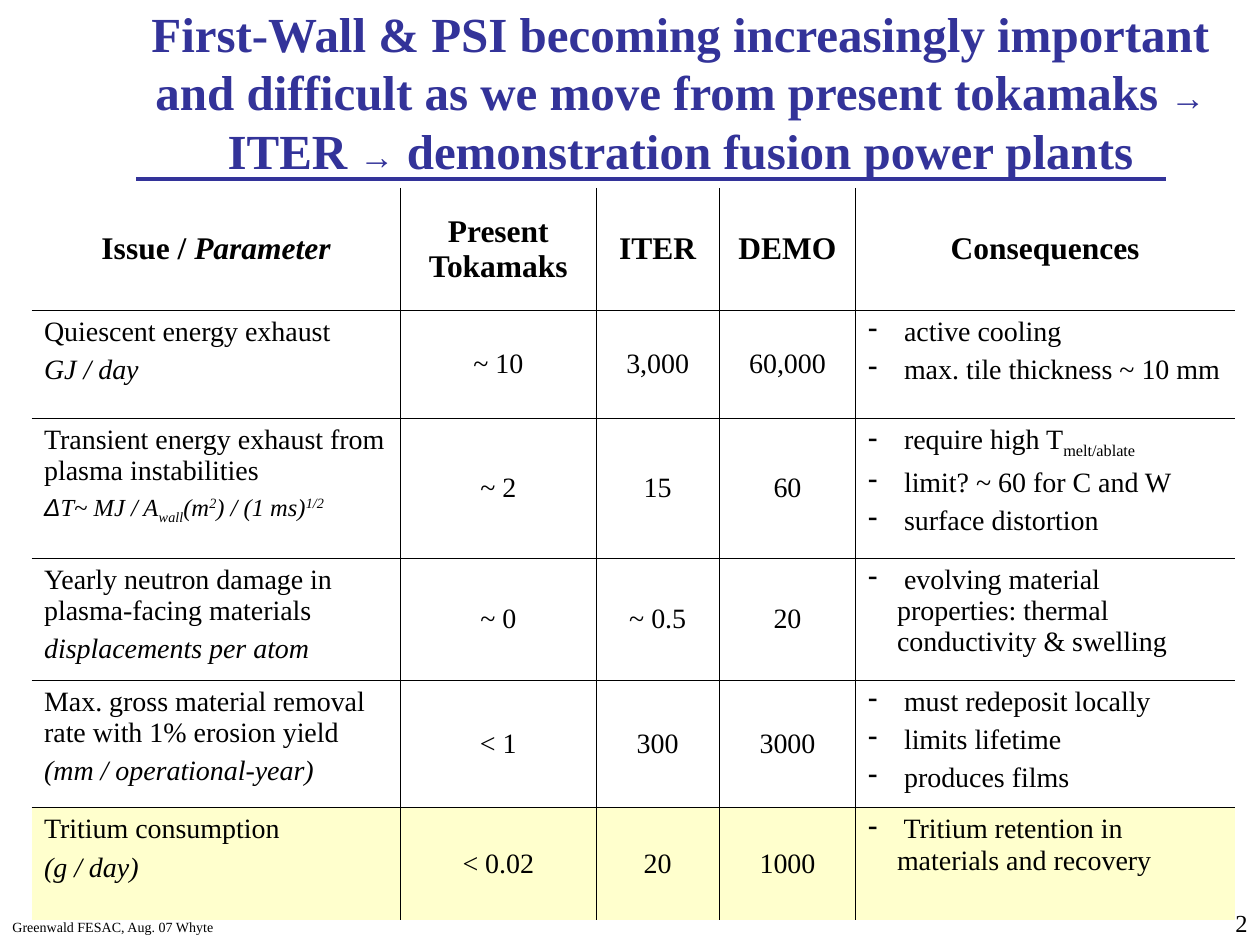
from dataclasses import dataclass
from typing import NamedTuple

from lxml.etree import SubElement
from pptx import Presentation
from pptx.dml.color import RGBColor
from pptx.enum.shapes import MSO_CONNECTOR as Connector
from pptx.enum.text import MSO_ANCHOR as Anchor, PP_ALIGN as Align
from pptx.oxml.ns import qn
from pptx.util import Inches, Pt


@dataclass(frozen=True)
class Theme:
    accent: RGBColor = RGBColor(0x33, 0x33, 0x99)
    ink: RGBColor = RGBColor(0, 0, 0)
    highlight: RGBColor = RGBColor(0xFF, 0xFF, 0xCD)
    serif: str = "Times New Roman"
    sans: str = "Arial"
    title: int = 28
    arrow: int = 20
    header: int = 18
    body: int = 16
    formula: int = 14
    page: int = 14
    footer: int = 8
    rule: float = 2.25
    border: float = 0.45


THEME = Theme()


class Text(NamedTuple):
    text: str
    size: float = THEME.body
    bold: bool = False
    italic: bool = False
    font: str = THEME.serif
    color: RGBColor = THEME.ink
    baseline: int = 0  # percent: positive raises, negative lowers


class Issue(NamedTuple):
    label: list[list[Text]]
    values: tuple[str, str, str]
    consequences: list[list[Text]]
    highlighted: bool = False


def heading(text: str) -> Text:
    return Text(text, THEME.title, bold=True, color=THEME.accent)


def arrow(text: str) -> Text:
    return Text(text, THEME.arrow, bold=True, font=THEME.sans, color=THEME.accent)


def header(text: str, italic: bool = False) -> Text:
    return Text(text, THEME.header, bold=True, italic=italic)


def formula(text: str, baseline: int = 0, font: str = THEME.serif) -> Text:
    return Text(text, THEME.formula, italic=True, font=font, baseline=baseline)


def label(name: str, unit: str) -> list[list[Text]]:
    return [[Text(name)], [Text(unit, italic=True)]]


def points(*lines: str) -> list[list[Text]]:
    return [[Text(line)] for line in lines]


TITLE = [
    heading("First-Wall & PSI becoming increasingly important and difficult "
            "as we move from present tokamaks "),
    arrow("→ "), heading("ITER "), arrow("→"),
    heading(" demonstration fusion power plants"),
]
HEADERS = [
    [header("Issue / "), header("Parameter", italic=True)],
    [header("Present Tokamaks")], [header("ITER")], [header("DEMO")],
    [header("Consequences")],
]
TEMPERATURE_RISE = [
    formula("Δ", font=THEME.sans), formula("T~ MJ / A"), formula("wall", -25),
    formula("(m"), formula("2", 30), formula(") / (1 ms)"), formula("1/2", 30),
]
ISSUES = [
    Issue(label("Quiescent energy exhaust", "GJ / day"),
          ("~ 10", "3,000", "60,000"),
          points(" active cooling", " max. tile thickness ~ 10 mm")),
    Issue([[Text("Transient energy exhaust from plasma instabilities")], TEMPERATURE_RISE],
          ("~ 2", "15", "60"),
          [[Text(" require high T"), Text("melt/ablate", baseline=-25)],
           *points(" limit? ~ 60 for C and W", " surface distortion")]),
    Issue(label("Yearly neutron damage in plasma-facing materials",
                "displacements per atom"),
          ("~ 0", "~ 0.5", "20"),
          points(" evolving material properties: thermal conductivity & swelling")),
    Issue(label("Max. gross material removal rate with 1% erosion yield",
                "(mm / operational-year)"),
          ("< 1", "300", "3000"),
          points(" must redeposit locally", " limits lifetime", " produces films")),
    Issue(label("Tritium consumption", "(g / day)"),
          ("< 0.02", "20", "1000"),
          points(" Tritium retention in materials and recovery"), highlighted=True),
]
COLUMN_WIDTHS = [2.93, 1.55, 0.98, 1.08, 3.01]
ROW_HEIGHTS = [0.97, 0.86, 1.11, 0.97, 1.01, 0.89]


def add_dash(paragraph) -> None:
    properties = paragraph._p.get_or_add_pPr()
    properties.set("marL", str(Inches(0.23)))
    properties.set("indent", str(-Inches(0.23)))
    SubElement(properties, qn("a:buChar"), char="-")


def write(frame, paragraphs: list[list[Text]], align=Align.LEFT, dashed: bool = False) -> None:
    for index, runs in enumerate(paragraphs):
        paragraph = frame.add_paragraph() if index else frame.paragraphs[0]
        paragraph.alignment = align
        if index:
            paragraph.space_before = Pt(4)
        if dashed:
            add_dash(paragraph)
        for item in runs:
            run = paragraph.add_run()
            run.text = item.text
            font = run.font
            font.name, font.size = item.font, Pt(item.size)
            font.bold, font.italic = item.bold, item.italic
            font.color.rgb = item.color
            if item.baseline:
                run._r.get_or_add_rPr().set("baseline", str(item.baseline * 1000))


def add_text(slide, left: float, top: float, width: float, height: float,
             runs: list[Text], align=Align.LEFT, anchor=Anchor.TOP) -> None:
    box = slide.shapes.add_textbox(Inches(left), Inches(top), Inches(width), Inches(height))
    frame = box.text_frame
    frame.word_wrap = True
    frame.vertical_anchor = anchor
    write(frame, [runs], align)


def add_title_rule(slide) -> None:
    rule = slide.shapes.add_connector(Connector.STRAIGHT, Inches(1.08), Inches(1.42),
                                      Inches(9.25), Inches(1.42))
    rule.line.color.rgb = THEME.accent
    rule.line.width = Pt(THEME.rule)
    SubElement(rule._element.spPr, qn("a:effectLst"))


def set_borders(cell, row: int, column: int) -> None:
    """Rule the inner edges of the table and leave its outer edges open."""
    sides = {"L": column > 0, "R": column < len(COLUMN_WIDTHS) - 1,
             "T": row > 0, "B": row < len(ROW_HEIGHTS) - 1}
    properties = cell._tc.get_or_add_tcPr()
    for side, ruled in sides.items():
        line = SubElement(properties, qn(f"a:ln{side}"), w=str(Pt(THEME.border)))
        if ruled:
            fill = SubElement(line, qn("a:solidFill"))
            SubElement(fill, qn("a:srgbClr"), val=str(THEME.ink))
        else:
            SubElement(line, qn("a:noFill"))


def add_issue_table(slide) -> None:
    shape = slide.shapes.add_table(len(ROW_HEIGHTS), len(COLUMN_WIDTHS), Inches(0.25),
                                   Inches(1.49), Inches(sum(COLUMN_WIDTHS)),
                                   Inches(sum(ROW_HEIGHTS)))
    table = shape.table
    table.first_row = table.horz_banding = False
    for column, width in zip(table.columns, COLUMN_WIDTHS):
        column.width = Inches(width)
    for row, height in zip(table.rows, ROW_HEIGHTS):
        row.height = Inches(height)

    contents = [[[runs] for runs in HEADERS]]
    contents += [[issue.label, *([[Text(value)]] for value in issue.values),
                  issue.consequences] for issue in ISSUES]
    last = len(COLUMN_WIDTHS) - 1
    for row, cells in enumerate(contents):
        for column, paragraphs in enumerate(cells):
            cell = table.cell(row, column)
            centred = row == 0 or 0 < column < last
            cell.vertical_anchor = Anchor.MIDDLE if centred else Anchor.TOP
            set_borders(cell, row, column)
            if row and ISSUES[row - 1].highlighted:
                cell.fill.solid()
                cell.fill.fore_color.rgb = THEME.highlight
            else:
                cell.fill.background()
            write(cell.text_frame, paragraphs, Align.CENTER if centred else Align.LEFT,
                  dashed=row > 0 and column == last)


def main() -> None:
    presentation = Presentation()
    presentation.slide_width, presentation.slide_height = Inches(10), Inches(7.5)
    slide = presentation.slides.add_slide(presentation.slide_layouts[6])
    add_text(slide, 9, 7.16, 1, 0.33, [Text("2", THEME.page)], Align.RIGHT)
    add_text(slide, 0, 7.24, 1.92, 0.24, [Text("Greenwald FESAC, Aug. 07 Whyte", THEME.footer)])
    add_title_rule(slide)
    add_text(slide, 1, 0.1, 8.8, 1.25, TITLE, Align.CENTER, Anchor.MIDDLE)
    add_issue_table(slide)
    presentation.save("out.pptx")


if __name__ == "__main__":
    main()
